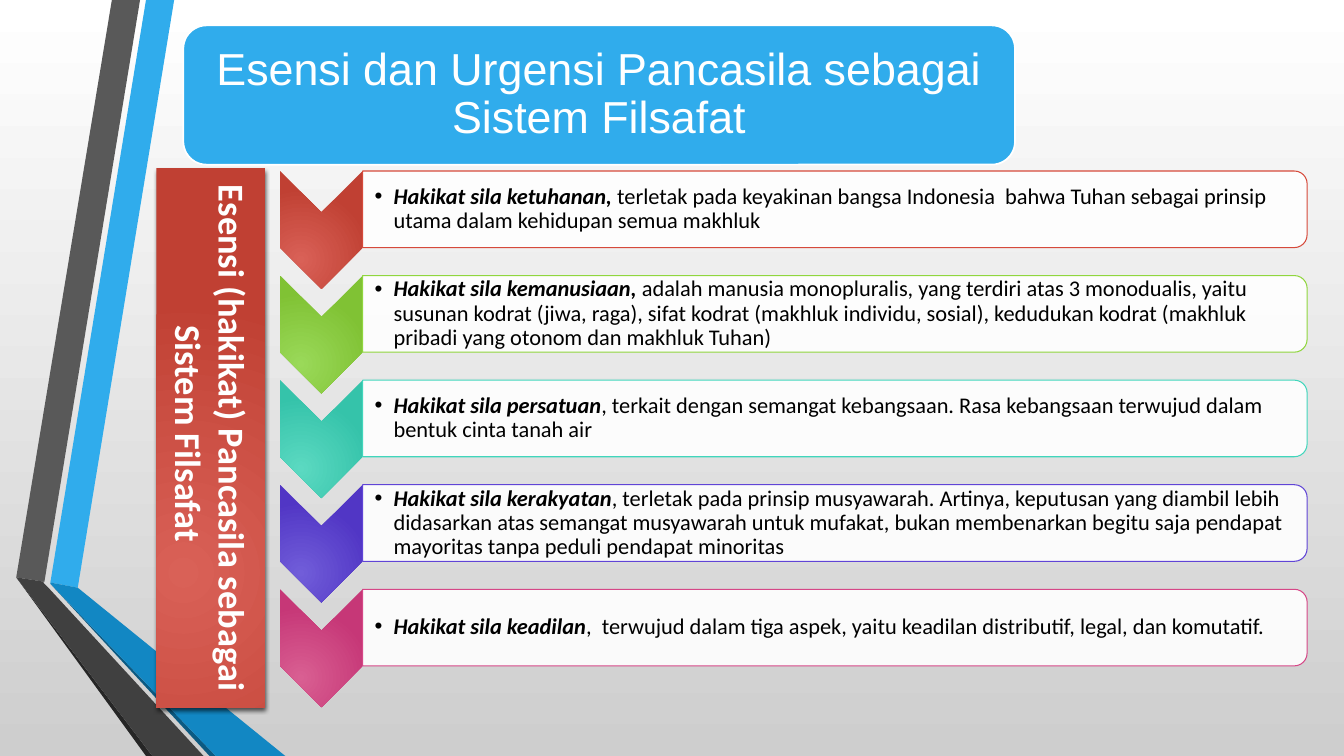
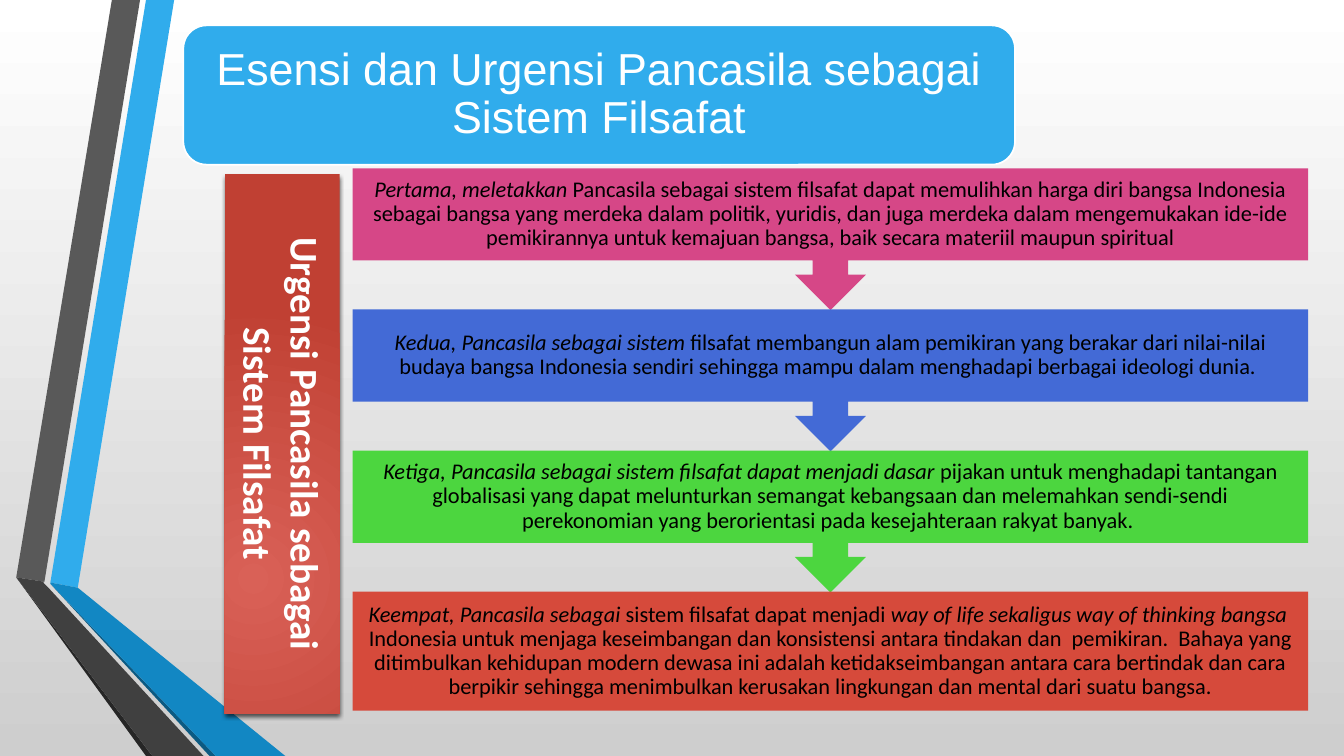
import pptx
import pptx.util
import pptx.dml.color
import pptx.enum.shapes
import pptx.enum.text
import pptx.oxml
import pptx.oxml.ns
import lxml.etree

Cm = pptx.util.Cm
Pt = pptx.util.Pt
SHAPES = pptx.enum.shapes.MSO_SHAPE
ALIGN = pptx.enum.text.PP_ALIGN
ANCHOR = pptx.enum.text.MSO_ANCHOR
qn = pptx.oxml.ns.qn

COLOURS = {
    "white": "FFFFFF", "black": "000000", "backdrop": "CECECE",
    "sky": "30ACEC", "ocean": "1287C3", "navy": "0C5A82",
    "grey": "595959", "charcoal": "404040", "soot": "262626",
    "red": "D64A3B", "red_light": "D96157", "red_dark": "C04033",
    "lime": "90D63E", "lime_light": "9AD959", "lime_dark": "80C234",
    "teal": "41D6BC", "teal_light": "5BD9C1", "teal_dark": "35C3AA",
    "violet": "6044D6", "violet_light": "715DD9", "violet_dark": "5136C5",
    "pink": "D64787", "pink_light": "D95F92", "pink_dark": "C63777",
    "blue": "436AD6", "green": "4CD63F",
}
SLIDE_W, SLIDE_H = 33.87, 19.05
TITLE = "Esensi dan Urgensi Pancasila sebagai Sistem Filsafat"
TITLE_BOX = (4.62, 0.64, 20.96, 3.51)
BODY_FONT, TITLE_FONT = "Calibri", "Arial"

# Folded ribbons along the left edge, from back to front, in cm
RIBBONS = [
    ("sky", [(1.27, 14.68), (1.96, 14.81), (4.39, 0), (3.68, 0)]),
    ("grey", [(3.53, 0), (2.82, 0), (0.41, 14.55), (1.12, 14.66)]),
    ("soot", [(0.41, 14.55), (3.68, SLIDE_H), (3.84, SLIDE_H)]),
    ("navy", [(1.27, 14.71), (5.28, SLIDE_H), (5.44, SLIDE_H)]),
    ("ocean", [(1.27, 14.71), (5.44, SLIDE_H), (7.19, SLIDE_H),
               (1.96, 14.81), (1.27, 14.68)]),
    ("charcoal", [(5.13, SLIDE_H), (1.22, 14.81), (1.09, 14.68),
                  (1.12, 14.66), (0.41, 14.55), (3.84, SLIDE_H)]),
]

# Colour, lead phrase, explanation
PRINCIPLES = [
    ("red", "Hakikat sila ketuhanan, ",
     "terletak pada keyakinan bangsa Indonesia  bahwa Tuhan sebagai prinsip "
     "utama dalam kehidupan semua makhluk"),
    ("lime", "Hakikat sila kemanusiaan,",
     " adalah manusia monopluralis, yang terdiri atas 3 monodualis, yaitu "
     "susunan kodrat (jiwa, raga), sifat kodrat (makhluk individu, sosial), "
     "kedudukan kodrat (makhluk pribadi yang otonom dan makhluk Tuhan)"),
    ("teal", "Hakikat sila persatuan",
     ", terkait dengan semangat kebangsaan. Rasa kebangsaan terwujud dalam "
     "bentuk cinta tanah air"),
    ("violet", "Hakikat sila kerakyatan",
     ", terletak pada prinsip musyawarah. Artinya, keputusan yang diambil "
     "lebih didasarkan atas semangat musyawarah untuk mufakat, bukan "
     "membenarkan begitu saja pendapat mayoritas tanpa peduli pendapat "
     "minoritas"),
    ("pink", "Hakikat sila keadilan",
     ",  terwujud dalam tiga aspek, yaitu keadilan distributif, legal, dan "
     "komutatif."),
]

# Colour, then phrases that alternate between italic and upright
URGENCIES = [
    ("pink", ["Pertama, meletakkan ",
              "Pancasila sebagai sistem filsafat dapat memulihkan harga diri "
              "bangsa Indonesia sebagai bangsa yang merdeka dalam politik, "
              "yuridis, dan juga merdeka dalam mengemukakan ide-ide "
              "pemikirannya untuk kemajuan bangsa, baik secara materiil "
              "maupun spiritual"]),
    ("blue", ["Kedua, Pancasila sebagai sistem ",
              "filsafat membangun alam pemikiran yang berakar dari "
              "nilai-nilai budaya bangsa Indonesia sendiri sehingga mampu "
              "dalam menghadapi berbagai ideologi dunia. "]),
    ("green", ["Ketiga, Pancasila sebagai sistem filsafat dapat menjadi dasar ",
               "pijakan untuk menghadapi tantangan globalisasi yang dapat "
               "melunturkan semangat kebangsaan dan melemahkan sendi-sendi "
               "perekonomian yang berorientasi pada kesejahteraan rakyat "
               "banyak. "]),
    ("red", ["Keempat, Pancasila sebagai ",
             "sistem filsafat dapat menjadi ",
             "way of life sekaligus way of thinking bangsa  ",
             "Indonesia untuk menjaga keseimbangan dan konsistensi antara "
             "tindakan dan  pemikiran.  Bahaya yang ditimbulkan kehidupan "
             "modern dewasa ini adalah ketidakseimbangan antara cara "
             "bertindak dan cara berpikir sehingga menimbulkan kerusakan "
             "lingkungan dan mental dari suatu bangsa."]),
]


def rgb(name):
    return pptx.dml.color.RGBColor.from_string(COLOURS[name])


def paint(shape, fill=None, line=None, width=0.75):
    shape.shadow.inherit = False
    if fill:
        shape.fill.solid()
        shape.fill.fore_color.rgb = rgb(fill)
    if line:
        shape.line.color.rgb = rgb(line)
        shape.line.width = Pt(width)
    else:
        shape.line.fill.background()


def set_gradient(fill, start, end):
    fill.gradient()
    for stop, position, name in zip(fill.gradient_stops, (0, 1), (start, end)):
        stop.position = position
        stop.color.rgb = rgb(name)


def paint_glow(shape, hue):
    """Fill with a circular gradient from the light to the dark tone of a hue."""
    paint(shape)
    set_gradient(shape.fill, hue + "_light", hue + "_dark")
    gradient = shape.element.spPr.find(qn("a:gradFill"))
    gradient.remove(gradient.find(qn("a:lin")))
    circle = lxml.etree.SubElement(gradient, qn("a:path"), path="circle")
    lxml.etree.SubElement(circle, qn("a:fillToRect"),
                          l="50000", t="100000", r="100000", b="50000")


def add_drop_shadow(shape):
    effects = shape.element.spPr.find(qn("a:effectLst"))
    shadow = lxml.etree.SubElement(
        effects, qn("a:outerShdw"), blurRad=str(Pt(3)), dist=str(Pt(2)),
        dir="5400000", algn="ctr", rotWithShape="0")
    tone = lxml.etree.SubElement(shadow, qn("a:srgbClr"), val=COLOURS["black"])
    lxml.etree.SubElement(tone, qn("a:alpha"), val="64000")


def add_box(slide, kind, box):
    return slide.shapes.add_shape(kind, *map(Cm, box))


def add_turned_box(slide, kind, box):
    """Add a shape turned by 90 degrees that covers the given box."""
    left, top, width, height = box
    shift = (width - height) / 2
    shape = add_box(slide, kind, (left + shift, top - shift, height, width))
    shape.rotation = 90
    return shape


def write(shape, runs, size, colour="black", font=BODY_FONT, align=ALIGN.CENTER,
          anchor=ANCHOR.MIDDLE, insets=(0.25, 0.13, 0.25, 0.13), spacing=0.9,
          bullet=False):
    """Write one paragraph from runs of (text, bold, italic)."""
    frame = shape.text_frame
    frame.word_wrap = True
    frame.vertical_anchor = anchor
    (frame.margin_left, frame.margin_top,
     frame.margin_right, frame.margin_bottom) = map(Cm, insets)
    paragraph = frame.paragraphs[0]
    if bullet:
        properties = paragraph._p.get_or_add_pPr()
        properties.set("marL", str(Cm(0.48)))
        properties.set("indent", str(-Cm(0.48)))
        lxml.etree.SubElement(properties, qn("a:buFont"), typeface="Arial")
        lxml.etree.SubElement(properties, qn("a:buChar"), char="•")
    paragraph.alignment = align
    paragraph.line_spacing = spacing
    for text, bold, italic in runs:
        run = paragraph.add_run()
        run.text = text
        run.font.name = font
        run.font.size = Pt(size)
        run.font.bold = bold
        run.font.italic = italic
        run.font.color.rgb = rgb(colour)


def add_ribbons(slide):
    for colour, points in RIBBONS:
        start, *others = [(Cm(x), Cm(y)) for x, y in points]
        outline = slide.shapes.build_freeform(*start, scale=1.0)
        outline.add_line_segments(others, close=True)
        paint(outline.convert_to_shape(), colour)


def add_title(slide, box):
    banner = add_box(slide, SHAPES.ROUNDED_RECTANGLE, box)
    paint(banner, "sky", "white", 1.25)
    write(banner, [(TITLE, False, False)], 32, "white", TITLE_FONT,
          insets=(0.16,) * 4)


def add_side_heading(slide, box, text, size):
    heading = add_box(slide, SHAPES.RECTANGLE, box)
    paint_glow(heading, "red")
    add_drop_shadow(heading)
    write(heading, [(text, True, False)], size, "white",
          anchor=ANCHOR.TOP, spacing=1.0)
    heading.text_frame._txBody.bodyPr.set("vert", "vert")


def add_principles(slide, box):
    """Stack chevrons at the left of the box, each with a panel beside it."""
    left, top, width, height = box
    chevron_w, chevron_h, panel_h = 2.08, 2.97, 1.93
    pitch = (height - chevron_h) / (len(PRINCIPLES) - 1)
    panel_left, panel_w = left + chevron_w, width - chevron_w
    for index, (hue, lead, explanation) in enumerate(PRINCIPLES):
        y = top + index * pitch
        chevron = add_turned_box(slide, SHAPES.CHEVRON,
                                 (left, y, chevron_w, chevron_h))
        paint_glow(chevron, hue)
        panel = add_turned_box(slide, SHAPES.ROUND_2_SAME_RECTANGLE,
                               (panel_left, y, panel_w, panel_h))
        paint(panel, "white", hue)
        tone = panel.element.spPr.find(qn("a:solidFill"))[0]
        lxml.etree.SubElement(tone, qn("a:alpha"), val="90000")
        label = slide.shapes.add_textbox(
            Cm(panel_left), Cm(y + 0.1), Cm(panel_w - 0.1), Cm(panel_h - 0.2))
        write(label, [(lead, True, True), (explanation, False, False)], 16,
              align=ALIGN.LEFT, insets=(0.3, 0.03, 0.03, 0.03), bullet=True)


def add_urgencies(slide, box):
    """Stack arrow callouts that lead down to a plain closing box."""
    left, top, width, height = box
    closing_h = 3.0
    last = len(URGENCIES) - 1
    pitch = (height - closing_h) / last
    for index, (colour, phrases) in enumerate(URGENCIES):
        if index < last:
            kind, step_h = SHAPES.DOWN_ARROW_CALLOUT, pitch + 0.02
        else:
            kind, step_h = SHAPES.RECTANGLE, closing_h
        step = add_box(slide, kind, (left, top + index * pitch, width, step_h))
        paint(step, colour)
        runs = [(text, False, order % 2 == 0)
                for order, text in enumerate(phrases)]
        write(step, runs, 16, insets=(0.3,) * 4)


def add_base_slide(deck):
    slide = deck.slides.add_slide(deck.slide_layouts[6])
    backdrop = slide.background.fill
    set_gradient(backdrop, "white", "backdrop")
    backdrop.gradient_angle = 270
    add_ribbons(slide)
    add_title(slide, TITLE_BOX)
    return slide


def add_essence_slide(deck):
    slide = add_base_slide(deck)
    add_side_heading(slide, (3.94, 4.24, 2.74, 13.59),
                     "Esensi (hakikat) Pancasila sebagai Sistem Filsafat ", 26)
    add_principles(slide, (7.06, 4.31, 25.88, 13.51))


def add_urgency_slide(deck):
    slide = add_base_slide(deck)
    add_urgencies(slide, (8.89, 4.24, 24.08, 13.67))
    add_side_heading(slide, (5.66, 4.39, 2.9, 13.59),
                     "Urgensi Pancasila sebagai Sistem Filsafat", 28)


def main():
    deck = pptx.Presentation()
    deck.slide_width, deck.slide_height = Cm(SLIDE_W), Cm(SLIDE_H)
    add_essence_slide(deck)
    add_urgency_slide(deck)
    deck.save("out.pptx")


if __name__ == "__main__":
    main()
